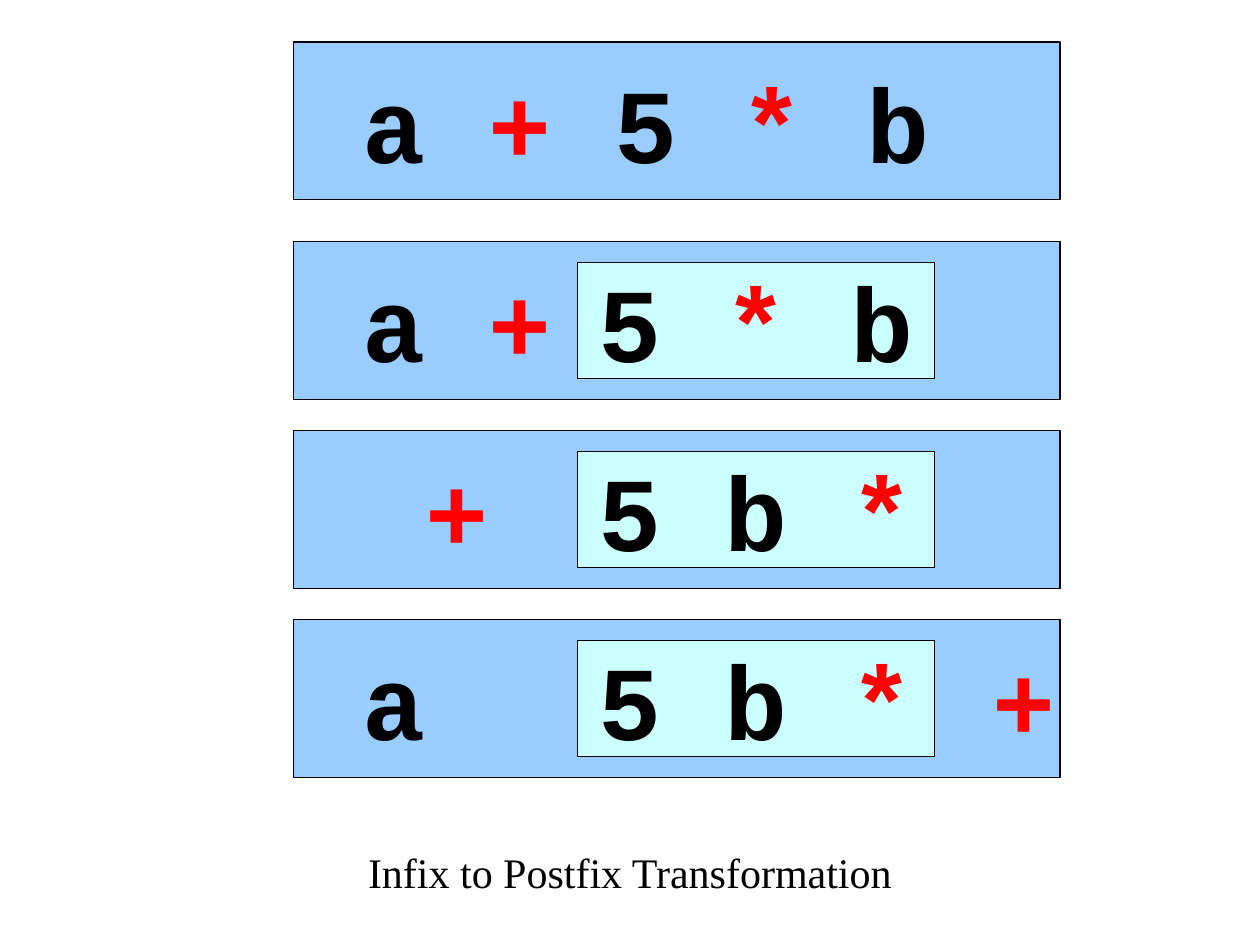
from dataclasses import dataclass
from itertools import groupby

from lxml import etree
from pptx import Presentation
from pptx.dml.color import RGBColor
from pptx.enum.shapes import MSO_SHAPE
from pptx.enum.text import MSO_ANCHOR, PP_ALIGN
from pptx.oxml.ns import qn
from pptx.util import Cm, Pt

RECT = MSO_SHAPE.RECTANGLE
MIDDLE = MSO_ANCHOR.MIDDLE
LEFT, CENTER = PP_ALIGN.LEFT, PP_ALIGN.CENTER

COLORS = {"outer": "99CCFF", "inner": "CCFFFF", "caption": "FFFFFF",
          "line": "000000", "operand": "000000", "operator": "FF0000"}
OPERATORS = "+*"

# All lengths in cm
ROW_LEFT, ROW_W, ROW_H = 5.92, 15.45, 3.18
INNER_LEFT, INNER_W, INNER_H = 11.64, 7.2, 2.33
INNER_DROP = (ROW_H - INNER_H) / 2
CHAR_W = 1.27  # advance of one 60 pt monospaced character
INDENT = 1.38  # row edge to the first character


@dataclass
class Step:
    top: float
    outer: str
    inner: str = ""
    shift: int = 0  # characters to move the outer text right


STEPS = [
    Step(0.85, "a + 5 * b"),
    Step(4.87, "a +", "5 * b"),
    Step(8.68, "+", "5 b *", shift=1),
    Step(12.49, "a\t+", "5 b *"),
]


def rgb(name: str) -> RGBColor:
    return RGBColor.from_string(COLORS[name])


def add_box(slide, left: float, top: float, width: float, height: float, fill: str):
    s = slide.shapes.add_shape(RECT, Cm(left), Cm(top), Cm(width), Cm(height))
    s.shadow.inherit = False
    s.fill.solid()
    s.fill.fore_color.rgb = rgb(fill)
    s.line.color.rgb = rgb("line")
    s.line.width = Pt(0.75)
    s.text_frame.word_wrap = True
    s.text_frame.vertical_anchor = MIDDLE
    return s


def add_tab(p, position: float) -> None:
    tabs = etree.SubElement(p._p.get_or_add_pPr(), qn("a:tabLst"))
    etree.SubElement(tabs, qn("a:tab"), pos=str(Cm(position)), algn="l")


def write_expression(s, text: str, align) -> None:
    """Write the expression with its operators in red."""
    p = s.text_frame.paragraphs[0]
    p.alignment = align
    if "\t" in text:
        add_tab(p, 10 * CHAR_W)
    p.font.name, p.font.size, p.font.bold = "Courier New", Pt(60), True
    for is_operator, chars in groupby(text, lambda c: c in OPERATORS):
        r = p.add_run()
        r.text = "".join(chars)
        r.font.color.rgb = rgb("operator" if is_operator else "operand")


def add_step(slide, step: Step) -> None:
    s = add_box(slide, ROW_LEFT, step.top, ROW_W, ROW_H, "outer")
    s.text_frame.margin_left = Cm(INDENT + step.shift * CHAR_W)
    s.text_frame.margin_right = 0
    write_expression(s, step.outer, LEFT)
    if step.inner:
        s = add_box(slide, INNER_LEFT, step.top + INNER_DROP, INNER_W, INNER_H, "inner")
        write_expression(s, step.inner, CENTER)


def add_caption(slide, text: str) -> None:
    s = add_box(slide, 0, 16.09, 25.4, 2.96, "caption")
    s.line.fill.background()
    p = s.text_frame.paragraphs[0]
    p.text = text
    p.alignment = CENTER
    p.font.name, p.font.size = "Times New Roman", Pt(24)
    p.font.color.rgb = rgb("operand")


def main() -> None:
    prs = Presentation()
    prs.slide_width, prs.slide_height = Cm(25.4), Cm(19.05)
    slide = prs.slides.add_slide(prs.slide_layouts[6])

    # Transformation steps, top to bottom
    for step in STEPS:
        add_step(slide, step)

    # Caption
    add_caption(slide, "Infix to Postfix Transformation")
    prs.save("out.pptx")


if __name__ == "__main__":
    main()
